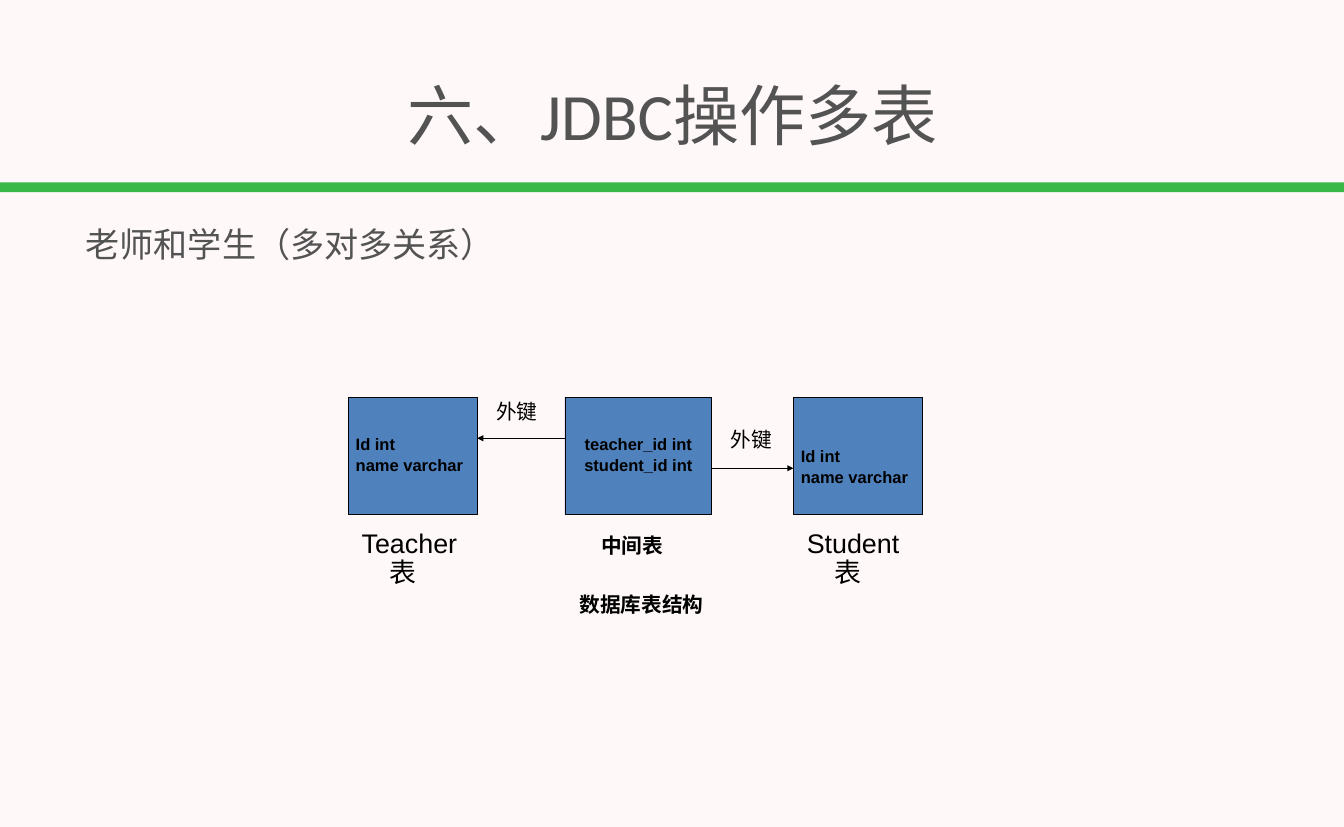
from pptx import Presentation
from pptx.dml.color import RGBColor
from pptx.enum.shapes import MSO_CONNECTOR, MSO_SHAPE
from pptx.enum.text import MSO_ANCHOR, MSO_AUTO_SIZE, PP_ALIGN
from pptx.oxml.ns import qn
from pptx.util import Pt
from lxml.etree import SubElement

WIDTH, HEIGHT = 1300, 800
BOX_TOP, BOX_HEIGHT = 384.5, 113
TEACHER_LEFT, LINK_LEFT, STUDENT_LEFT = 337, 546.5, 767.5
ENTITY_WIDTH, LINK_WIDTH = 124.5, 142
HANGING = (27, -27)


def color(hex_string):
    return RGBColor.from_string(hex_string)


class SlideBuilder:
    background, accent, table_fill = "FFF8F8", "39B747", "4F81BD"
    heading_color, ink = "535353", "000000"

    def __init__(self, page):
        self.page = page
        page.background.fill.solid()
        page.background.fill.fore_color.rgb = color(self.background)

    def set_text(self, frame, text, size, bold=False, align=PP_ALIGN.LEFT,
                 font="Arial", ink=ink, indent=HANGING, line_spacing=0.9):
        frame.text = text
        for index, para in enumerate(frame.paragraphs):
            para.alignment = align
            para.line_spacing = line_spacing
            para.space_before = Pt(size * 0.2 if index else 0)
            properties = para._p.get_or_add_pPr()
            for name, value in zip(("marL", "indent"), indent):
                properties.set(name, str(Pt(value)))
            for span in para.runs:
                span.font.name = font
                span.font.size = Pt(size)
                span.font.bold = bold
                span.font.color.rgb = color(ink)

    def rectangle(self, left, top, width, height, fill, line=None):
        box = self.page.shapes.add_shape(
            MSO_SHAPE.RECTANGLE, Pt(left), Pt(top), Pt(width), Pt(height))
        box.shadow.inherit = False
        box.fill.solid()
        box.fill.fore_color.rgb = color(fill)
        if line:
            box.line.color.rgb = color(line)
            box.line.width = Pt(0.75)
        else:
            box.line.fill.background()
        return box

    def table_box(self, left, width, columns, align=PP_ALIGN.LEFT, inset_top=3.6):
        """Draw a database table as a box that lists its columns."""
        box = self.rectangle(left, BOX_TOP, width, BOX_HEIGHT, self.table_fill, self.ink)
        frame = box.text_frame
        frame.word_wrap = False
        frame.vertical_anchor = MSO_ANCHOR.MIDDLE
        frame.margin_top = Pt(inset_top)
        self.set_text(frame, columns, 16, True, align)

    def text_box(self, left, top, width, height):
        box = self.page.shapes.add_textbox(Pt(left), Pt(top), Pt(width), Pt(height))
        box.text_frame.word_wrap = True
        return box.text_frame

    def heading(self, left, top, width, height, text, size, align, anchor, indent):
        frame = self.text_box(left, top, width, height)
        frame.vertical_anchor = anchor
        frame.margin_left = frame.margin_right = Pt(3.6)
        frame.margin_top = frame.margin_bottom = Pt(3.6)
        self.set_text(frame, text, size, align=align, font="Calibri",
                      ink=self.heading_color, indent=indent, line_spacing=1.0)

    def label(self, left, top, width, text, size=20, bold=False, align=PP_ALIGN.LEFT):
        frame = self.text_box(left, top, width, 29)
        frame.auto_size = MSO_AUTO_SIZE.SHAPE_TO_FIT_TEXT
        self.set_text(frame, text, size, bold, align)

    def arrow(self, start, end, y):
        """Draw a horizontal foreign-key arrow."""
        connector = self.page.shapes.add_connector(
            MSO_CONNECTOR.STRAIGHT, Pt(start), Pt(y), Pt(end), Pt(y))
        connector.line.color.rgb = color(self.ink)
        connector.line.width = Pt(0.75)
        properties = connector._element.spPr
        SubElement(properties.find(qn("a:ln")), qn("a:tailEnd"), type="triangle")
        SubElement(properties, qn("a:effectLst"))


def main():
    deck = Presentation()
    deck.slide_width, deck.slide_height = Pt(WIDTH), Pt(HEIGHT)
    builder = SlideBuilder(deck.slides.add_slide(deck.slide_layouts[6]))

    builder.rectangle(0, 176.4, WIDTH, 9.4, builder.accent)
    builder.heading(3.6, 59, 1294, 102, "六、JDBC操作多表", 64,
                    PP_ALIGN.CENTER, MSO_ANCHOR.MIDDLE, (0, 0))
    builder.heading(70.6, 213, 606, 57, "老师和学生（多对多关系）", 33,
                    PP_ALIGN.LEFT, MSO_ANCHOR.TOP, (8.6, 0))

    entity_columns = "Id int\nname varchar"
    builder.table_box(TEACHER_LEFT, ENTITY_WIDTH, entity_columns)
    builder.table_box(STUDENT_LEFT, ENTITY_WIDTH, entity_columns, inset_top=27)
    builder.table_box(LINK_LEFT, LINK_WIDTH, "teacher_id int\nstudent_id int",
                      PP_ALIGN.CENTER)

    builder.arrow(LINK_LEFT, TEACHER_LEFT + ENTITY_WIDTH, 424)
    builder.arrow(LINK_LEFT + LINK_WIDTH, STUDENT_LEFT, 453)
    for left, top in ((473, 384.5), (700, 412.5)):
        builder.label(left, top, 62.6, "外键")

    builder.label(342.7, 509, 113, "Teacher表", 26)
    builder.label(773.3, 509, 108, "Student表", 26)
    builder.label(574.5, 514.8, 102, "中间表", bold=True)
    builder.label(473, 571.7, 295, "数据库表结构", bold=True, align=PP_ALIGN.CENTER)

    deck.save("out.pptx")


if __name__ == "__main__":
    main()
